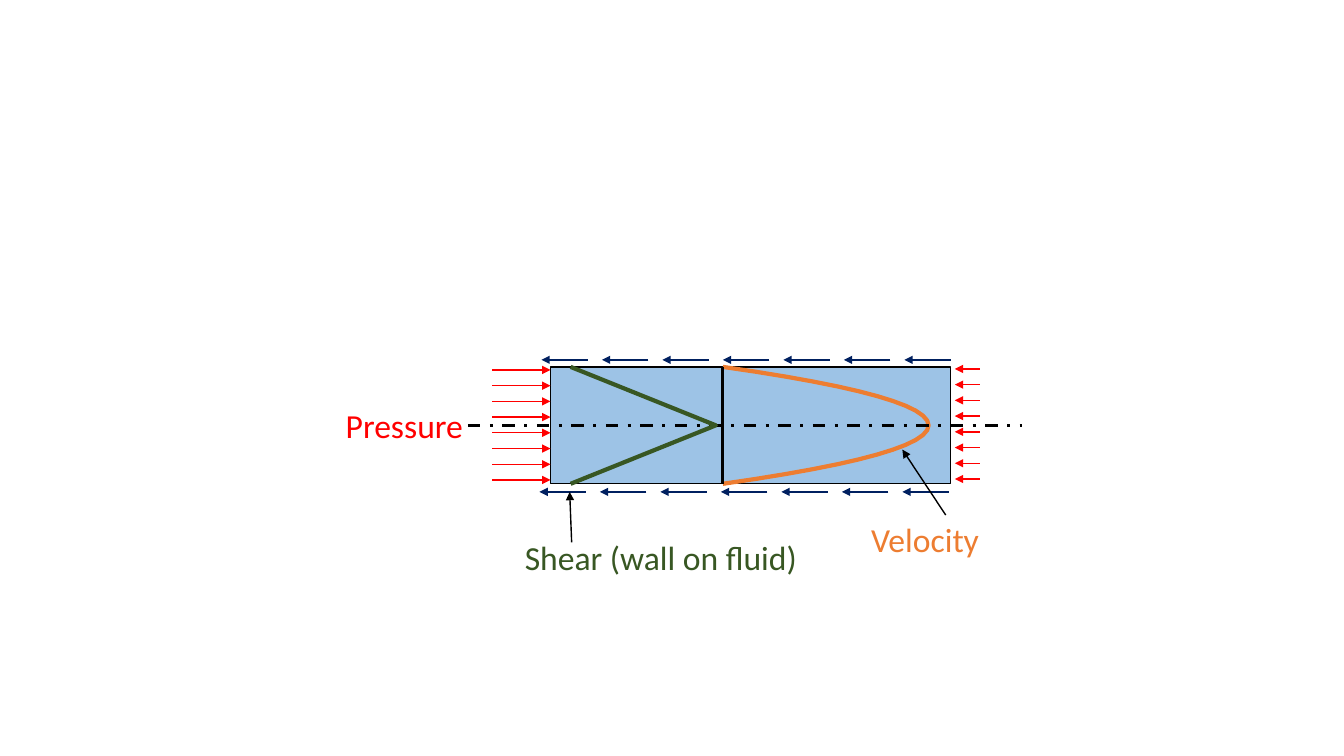
from pptx import Presentation
from pptx.util import Inches, Pt
from pptx.dml.color import RGBColor
from pptx.enum.dml import MSO_LINE
from pptx.enum.shapes import MSO_CONNECTOR, MSO_SHAPE
from pptx.enum.text import MSO_ANCHOR, PP_ALIGN
from pptx.oxml.ns import qn
from lxml.etree import SubElement

THEME = dict(font="Calibri", size=24, thin=1, mid=2.25, thick=3,
             fluid="9DC3E6", ink="000000", speed="ED7D31",
             shear="385723", press="FF0000", wall="002060")

LEFT, TOP, WIDE, HIGH = 5.46, 3.64, 3.97, 1.16
RIGHT, BASE, MID = LEFT + WIDE, TOP + HIGH, TOP + HIGH / 2
CUT, REACH, STEPS = 7.17, 2.04, 24

LABELS = [
    ("Velocity", "speed", (8.5, 5.19, 1.35, 0.31), PP_ALIGN.CENTER, MSO_ANCHOR.MIDDLE),
    ("Shear (wall on fluid)", "shear", (5.09, 5.27, 2.93, 0.51), PP_ALIGN.CENTER, MSO_ANCHOR.MIDDLE),
    ("Pressure", "press", (3.33, 3.97, 1.38, 0.5), PP_ALIGN.LEFT, MSO_ANCHOR.TOP),
]
ROWS = [
    ("press", 8, (LEFT - 0.58, TOP + 0.03), (0, 0.156), 0.58),
    ("press", 8, (RIGHT + 0.29, TOP + 0.02), (0, 0.156), -0.25),
    ("wall", 7, (RIGHT - 0.02, BASE + 0.08), (-0.6, 0), -0.46),
    ("wall", 7, (RIGHT, TOP - 0.07), (-0.6, 0), -0.46),
]
HINTS = [((9.38, 5.11), (8.95, 4.46)), ((5.67, 5.38), (5.65, 4.88))]

deck = Presentation()
deck.slide_width, deck.slide_height = Inches(13.33), Inches(7.5)
shapes = deck.slides.add_slide(deck.slide_layouts[6]).shapes


def tint(name):
    return RGBColor.from_string(THEME[name])


def ink(line, color, width):
    line.color.rgb = tint(color)
    line.width = Pt(THEME[width])


def rule(start, end, color, width, head=False):
    bar = shapes.add_connector(MSO_CONNECTOR.STRAIGHT, *map(Inches, start + end))
    ink(bar.line, color, width)
    if head:
        SubElement(bar.line._get_or_add_ln(), qn("a:tailEnd"), type="triangle")
    SubElement(bar._element.spPr, qn("a:effectLst"))
    return bar


def curve(points, color):
    spots = [(Inches(x), Inches(y)) for x, y in points]
    pen = shapes.build_freeform(*spots[0])
    pen.add_line_segments(spots[1:], close=False)
    form = pen.convert_to_shape()
    form.shadow.inherit = False
    form.fill.background()
    ink(form.line, color, "thick")


def label(text, color, spot, align, anchor):
    frame = shapes.add_textbox(*map(Inches, spot)).text_frame
    frame.word_wrap = False
    frame.vertical_anchor = anchor
    frame.text = text
    para = frame.paragraphs[0]
    para.alignment = align
    font = para.runs[0].font
    font.name, font.size = THEME["font"], Pt(THEME["size"])
    font.color.rgb = tint(color)


pipe = shapes.add_shape(MSO_SHAPE.RECTANGLE, *map(Inches, (LEFT, TOP, WIDE, HIGH)))
pipe.shadow.inherit = False
pipe.fill.solid()
pipe.fill.fore_color.rgb = tint("fluid")
ink(pipe.line, "ink", "thin")

ticks = [2 * i / STEPS - 1 for i in range(STEPS + 1)]
curve([(CUT + REACH * (1 - t * t), MID + t * HIGH / 2) for t in ticks], "speed")
rule((CUT, TOP), (CUT, BASE), "ink", "mid")
axis = rule((4.64, MID), (10.14, MID), "ink", "mid")
axis.line.dash_style = MSO_LINE.DASH_DOT
curve([(5.66, BASE), (7.1, MID), (5.66, TOP)], "shear")

for color, count, (x, y), (dx, dy), span in ROWS:
    for i in range(count):
        left, top = x + i * dx, y + i * dy
        rule((left, top), (left + span, top), color, "thin", True)
for start, end in HINTS:
    rule(start, end, "ink", "thin", True)
for item in LABELS:
    label(*item)

deck.save("out.pptx")
